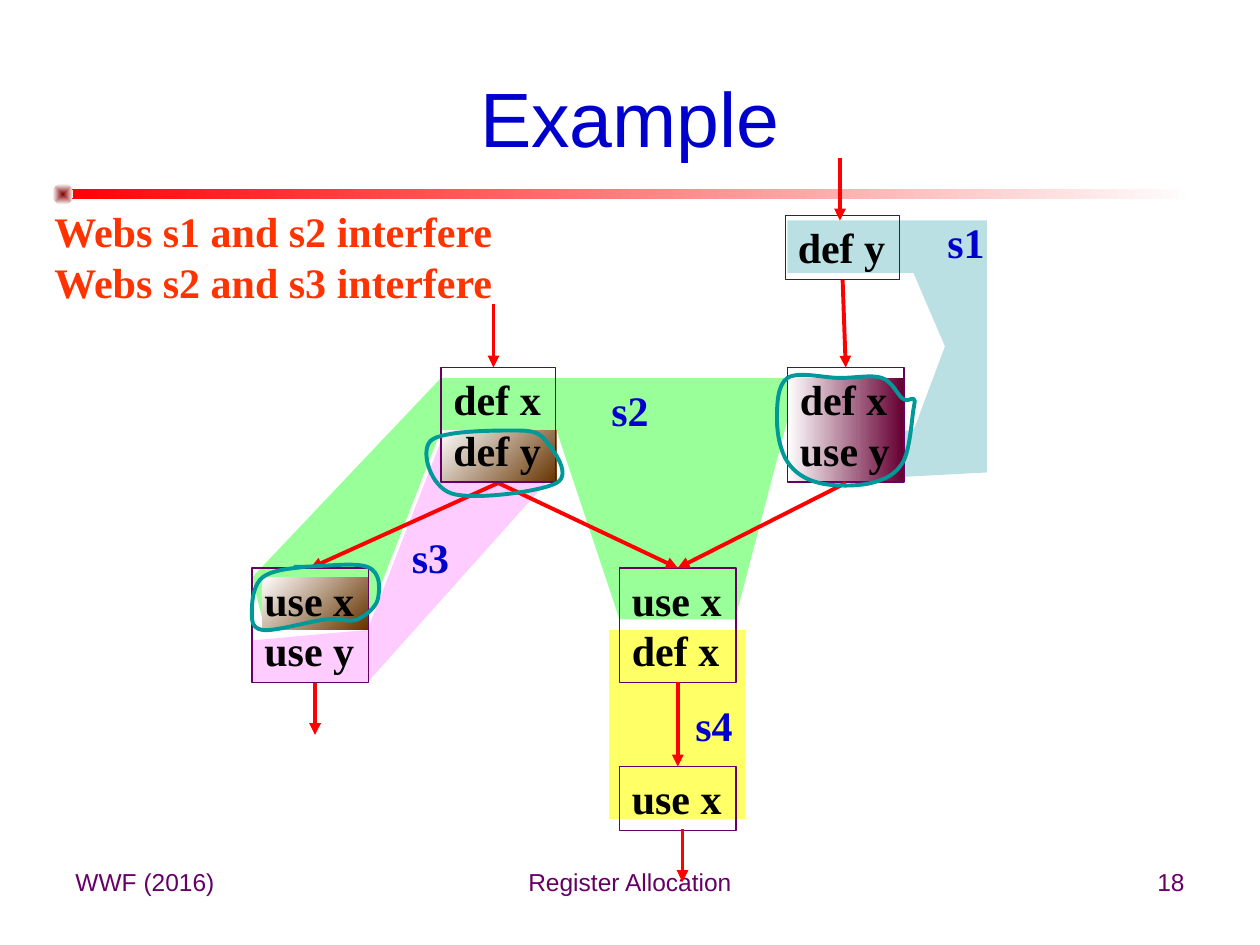
import lxml.etree
import pptx
import pptx.dml.color
import pptx.enum.shapes
import pptx.enum.text
import pptx.oxml.ns
import pptx.util

GRID_CM = 2.54 / 12
COLORS = {
    "title": "0000CC", "footer": "660066", "code": "000000", "note": "FF3300",
    "border": "660066", "flow": "FF0000", "loop": "009999",
    "s1": "BBE0E3", "s2": "99FF99", "s3": "FFCCFF", "s4": "FFFF66",
    "white": "FFFFFF", "rule": "FF0000", "bullet": "800000",
    "plum": "660033", "brown": "663300",
}
ALIGN = pptx.enum.text.PP_ALIGN
ANCHOR = pptx.enum.text.MSO_ANCHOR
SHAPE = pptx.enum.shapes.MSO_SHAPE
qn = pptx.oxml.ns.qn


def grid(value):
    """Return the length of a number of grid steps."""
    return pptx.util.Cm(value * GRID_CM)


def rgb(name):
    """Return the named colour."""
    return pptx.dml.color.RGBColor.from_string(COLORS[name])


def write(frame, text, size=24, font="Times New Roman", color="code", bold=True,
          align=ALIGN.LEFT, anchor=ANCHOR.TOP, grow=True):
    """Fill a text frame with formatted lines."""
    frame.text = text
    frame.word_wrap = not grow
    frame.auto_size = (pptx.enum.text.MSO_AUTO_SIZE.SHAPE_TO_FIT_TEXT if grow
                       else pptx.enum.text.MSO_AUTO_SIZE.NONE)
    frame.vertical_anchor = anchor
    for paragraph in frame.paragraphs:
        paragraph.alignment = align
        paragraph.space_before = pptx.util.Pt(0)
        for run in paragraph.runs:
            run.font.size = pptx.util.Pt(size)
            run.font.name = font
            run.font.bold = bold
            run.font.color.rgb = rgb(color)


def add_text(slide, area, text, **style):
    """Add a text box and return it."""
    box = slide.shapes.add_textbox(*map(grid, area))
    write(box.text_frame, text, **style)
    return box


def add_block(slide, left, top, width, text):
    """Add a bordered code block sized by its number of lines."""
    height = 6.1 if "\n" not in text else 10.9
    block = add_text(slide, (left, top, width, height), text)
    block.line.color.rgb = rgb("border")
    block.line.width = pptx.util.Pt(0.75)


def add_gradient(slide, preset, area, start, end, angle=0, radial=False):
    """Add a borderless shape with a two-colour gradient."""
    shape = slide.shapes.add_shape(preset, *map(grid, area))
    shape.shadow.inherit = False
    shape.line.fill.background()
    shape.fill.gradient()
    shape.fill.gradient_angle = (360 - angle) % 360
    for stop, color, position in zip(shape.fill.gradient_stops, (start, end), (0, 1)):
        stop.color.rgb = rgb(color)
        stop.position = position
    if radial:
        gradient = shape.element.spPr.find(qn("a:gradFill"))
        linear = gradient.find(qn("a:lin"))
        radial_fill = lxml.etree.Element(qn("a:path"), {"path": "shape"})
        lxml.etree.SubElement(radial_fill, qn("a:fillToRect"),
                              {side: "50000" for side in "ltrb"})
        gradient.replace(linear, radial_fill)


def add_outline(slide, points, closed=True):
    """Add a freeform through grid points and return it."""
    start, *rest = [(grid(x), grid(y)) for x, y in points]
    builder = slide.shapes.build_freeform(*start)
    builder.add_line_segments(rest, close=closed)
    outline = builder.convert_to_shape()
    outline.shadow.inherit = False
    return outline


def add_web(slide, color, points):
    """Add the filled area of a web."""
    web = add_outline(slide, points)
    web.fill.solid()
    web.fill.fore_color.rgb = rgb(color)
    web.line.fill.background()


def curve_points(knots):
    """Return Bezier points through all knots but the first and last."""
    points = [knots[1]]
    for before, start, end, after in zip(knots, knots[1:], knots[2:], knots[3:]):
        points.append(tuple(s + (e - b) / 6 for b, s, e in zip(before, start, end)))
        points.append(tuple(e - (a - s) / 6 for s, e, a in zip(start, end, after)))
        points.append(end)
    return points


def add_loop(slide, knots, closed=True):
    """Add a hand-drawn loop of cubic curves."""
    if closed:
        knots = knots[-1:] + knots + knots[:2]
    loop = add_outline(slide, curve_points(knots), closed)
    segments = list(loop.element.spPr.iter(qn("a:lnTo")))
    for first, second, third in zip(segments[::3], segments[1::3], segments[2::3]):
        curve = lxml.etree.Element(qn("a:cubicBezTo"))
        first.addprevious(curve)
        for segment in (first, second, third):
            curve.append(segment[0])
            segment.getparent().remove(segment)
    loop.fill.background()
    loop.line.color.rgb = rgb("loop")
    loop.line.width = pptx.util.Pt(2.25)


def add_arrow(slide, start, end):
    """Add a control-flow arrow."""
    arrow = slide.shapes.add_connector(
        pptx.enum.shapes.MSO_CONNECTOR.STRAIGHT, *map(grid, start + end))
    arrow.line.color.rgb = rgb("flow")
    arrow.line.width = pptx.util.Pt(2.25)
    properties = arrow.element.spPr
    lxml.etree.SubElement(properties.find(qn("a:ln")), qn("a:tailEnd"), {"type": "triangle"})
    lxml.etree.SubElement(properties, qn("a:effectLst"))


def add_frame(slide):
    """Add the title, its rule and the footer."""
    add_gradient(slide, SHAPE.RECTANGLE, (6, 18, 108, 1), "rule", "white")
    add_gradient(slide, SHAPE.OVAL, (5, 17.5, 2, 2), "bullet", "white", radial=True)
    title = slide.shapes.title
    title.left, title.top, title.width, title.height = map(grid, (6, 3.6, 108, 15))
    write(title.text_frame, "Example", size=44, font="Arial", color="title", bold=False,
          align=ALIGN.CENTER, anchor=ANCHOR.MIDDLE, grow=False)
    for left, width, text, align in ((6, 28, "WWF (2016)", ALIGN.LEFT),
                                     (41, 38, "Register Allocation", ALIGN.CENTER),
                                     (86, 28, "18", ALIGN.RIGHT)):
        add_text(slide, (left, 82, width, 6.2), text, size=14, font="Arial",
                 color="footer", bold=False, align=align, grow=False)


def main():
    """Build the slide and save it."""
    deck = pptx.Presentation()
    deck.slide_width, deck.slide_height = grid(120), grid(90)
    slide = deck.slides.add_slide(deck.slide_layouts[5])
    add_frame(slide)

    add_web(slide, "s1", [(87, 21), (75, 21), (75, 26), (87, 26), (90, 33), (87, 41),
                          (75, 41), (75, 46), (94, 45), (94, 21)])
    add_web(slide, "s2", [(70, 59), (75, 40), (86, 40), (86, 36), (42, 36), (24, 55),
                          (25, 59), (35, 59), (42, 41), (53, 41), (59, 59)])
    add_gradient(slide, SHAPE.RECTANGLE, (75, 36, 11, 10), "white", "plum")
    add_web(slide, "s3", [(24, 61), (24, 65), (35, 65), (52, 46), (52, 41), (42, 42), (35, 60)])
    add_web(slide, "s4", [(58, 60), (71, 60), (71, 78), (58, 78)])

    for left, top, width, text in ((74.8, 20.5, 10.9, "def y"),
                                   (75, 35, 11.1, "def x\nuse y"),
                                   (59, 54.1, 11.1, "use x\ndef x"),
                                   (59, 73, 11.1, "use x")):
        add_block(slide, left, top, width, text)

    left_fork, right_fork, join = (47.45, 46), (80.55, 46), (64.55, 54.1)
    for start, end in (((47, 29), (47, 35)), ((80, 15), (80, 21)),
                       ((80.25, 26.65), (80.55, 35)), (right_fork, join),
                       (left_fork, join), (left_fork, (29.55, 54.1)),
                       ((64.55, 65), (64.55, 73)), ((65, 79), (65, 84)),
                       ((30, 65), (30, 70))):
        add_arrow(slide, start, end)

    for name, left, top in (("s1", 89, 20), ("s2", 57, 36), ("s3", 38, 50), ("s4", 65, 66)):
        add_text(slide, (left, top, 6, 6), name, color="title",
                 align=ALIGN.CENTER, anchor=ANCHOR.MIDDLE)

    for area, block in (((42, 41, 11, 5), (42, 35, 10.9, "def x\ndef y")),
                        ((25, 55, 10, 5), (24, 54.1, 11.1, "use x\nuse y"))):
        add_gradient(slide, SHAPE.RECTANGLE, area, "white", "brown", angle=45)
        add_block(slide, *block)

    add_text(slide, (4, 19, 44.4, 10.8), "Webs s1 and s2 interfere\nWebs s2 and s3 interfere",
             color="note", anchor=ANCHOR.MIDDLE)

    add_loop(slide, [(52, 42), (53, 46), (43, 47), (41, 42), (49, 41)])
    add_loop(slide, [(35, 54), (29, 54), (25, 55), (24, 58), (25, 60), (31, 59), (34, 59),
                     (36, 57), (35, 54), (28, 54), (18, 54)], closed=False)
    add_loop(slide, [(87, 38), (86, 38), (84, 36), (80, 36), (75, 36), (74, 40),
                     (75, 44), (78, 46), (83, 46), (86, 44), (87, 39)])
    deck.save("out.pptx")


main()
